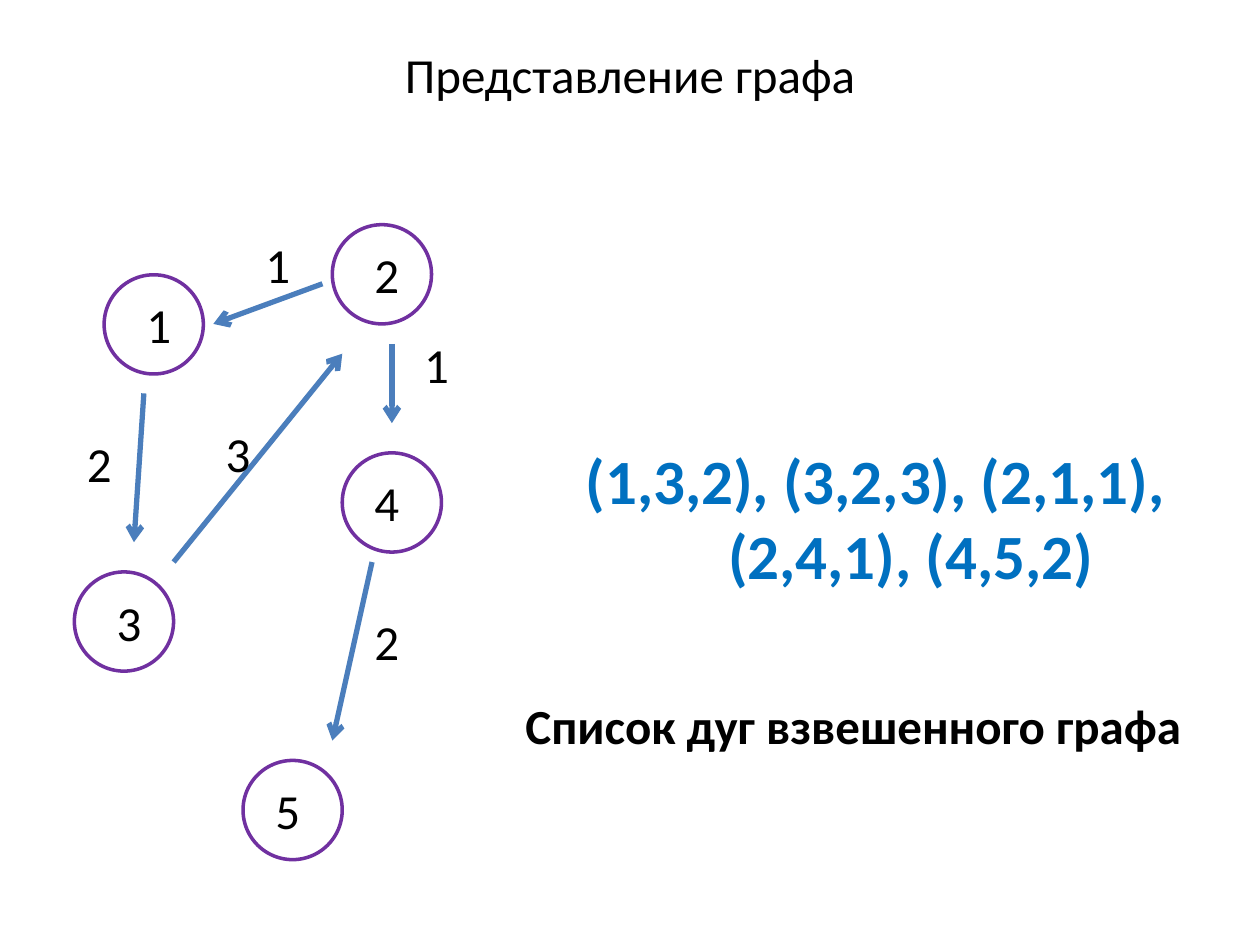
from dataclasses import dataclass

import pptx
import pptx.dml.color
import pptx.enum.shapes
import pptx.enum.text
import pptx.oxml.ns
import pptx.slide
import pptx.text.text
import pptx.util
from lxml import etree
from pptx.util import Cm

BLACK, WHITE, PURPLE, STEEL, BLUE = "000000", "FFFFFF", "7030A0", "4B7EBC", "0070C0"
DIAMETER = 2
LABEL_WIDTH, LABEL_HEIGHT = 1, 1.6
HANGING = 1.43


@dataclass
class Node:
    name: str
    left: float
    top: float
    label_shift: float


@dataclass
class Arc:
    weight: str
    start: tuple[float, float]
    end: tuple[float, float]
    label: tuple[float, float]


@dataclass
class Statement:
    text: str
    box: tuple[float, float, float, float]
    size: int = 28
    color: str = BLACK
    bold: bool = False
    bottom_inset: float = 0.13


NODES = [
    Node("1", 2.1, 5.54, 0.6),
    Node("2", 6.7, 4.53, 0.6),
    Node("3", 1.5, 11.53, 0.6),
    Node("4", 6.9, 9.13, 0.4),
    Node("5", 4.9, 15.33, 0.4),
]

ARCS = [
    Arc("1", (6.5, 5.72), (4.3, 6.53), (5.1, 4.53)),
    Arc("2", (2.9, 7.93), (2.7, 10.93), (1.5, 8.53)),
    Arc("3", (3.5, 11.33), (6.9, 7.13), (4.3, 8.33)),
    Arc("1", (7.9, 6.93), (7.9, 8.53), (8.3, 6.53)),
    Arc("2", (7.5, 11.33), (6.7, 14.93), (7.3, 12.12)),
]

STATEMENTS = [
    Statement("Представление графа", (0, 0, 25.4, 3)),
    Statement("Список дуг взвешенного графа", (10.3, 13.72, 13.8, 3),
              bold=True, bottom_inset=1.32),
    Statement("(1,3,2), (3,2,3), (2,1,1), (2,4,1), (4,5,2)",
              (9.9, 8.92, 15.5, 3), size=36, color=BLUE, bold=True),
]


def rgb(value: str) -> pptx.dml.color.RGBColor:
    return pptx.dml.color.RGBColor.from_string(value)


def add_text(slide: pptx.slide.Slide, statement: Statement) -> pptx.text.text.TextFrame:
    frame = slide.shapes.add_textbox(*map(Cm, statement.box)).text_frame
    frame.word_wrap = True
    frame.vertical_anchor = pptx.enum.text.MSO_ANCHOR.MIDDLE
    frame.margin_bottom = Cm(statement.bottom_inset)
    paragraph = frame.paragraphs[0]
    paragraph.alignment = pptx.enum.text.PP_ALIGN.CENTER
    run = paragraph.add_run()
    run.text = statement.text
    run.font.name = "Calibri"
    run.font.size = pptx.util.Pt(statement.size)
    run.font.bold = statement.bold
    run.font.color.rgb = rgb(statement.color)
    return frame


def add_statement(slide: pptx.slide.Slide, statement: Statement) -> None:
    """Add a text whose wrapped lines hang behind the first one."""
    properties = add_text(slide, statement).paragraphs[0]._p.get_or_add_pPr()
    properties.set("marL", str(Cm(HANGING)))
    properties.set("indent", str(-Cm(HANGING)))


def add_label(slide: pptx.slide.Slide, text: str, left: float, top: float) -> None:
    frame = add_text(slide, Statement(text, (left, top, LABEL_WIDTH, LABEL_HEIGHT)))
    frame.margin_left = frame.margin_right = 0


def add_circle(slide: pptx.slide.Slide, node: Node) -> None:
    circle = slide.shapes.add_shape(
        pptx.enum.shapes.MSO_SHAPE.OVAL,
        Cm(node.left), Cm(node.top), Cm(DIAMETER), Cm(DIAMETER))
    circle.shadow.inherit = False
    circle.fill.solid()
    circle.fill.fore_color.rgb = rgb(WHITE)
    circle.line.color.rgb = rgb(PURPLE)
    circle.line.width = pptx.util.Pt(2)


def add_arrow(slide: pptx.slide.Slide, arc: Arc) -> None:
    arrow = slide.shapes.add_connector(
        pptx.enum.shapes.MSO_CONNECTOR.STRAIGHT, *map(Cm, arc.start + arc.end))
    arrow.line.color.rgb = rgb(STEEL)
    arrow.line.width = pptx.util.Pt(3)
    etree.SubElement(arrow.line._get_or_add_ln(), pptx.oxml.ns.qn("a:tailEnd"), type="arrow")
    etree.SubElement(arrow._element.spPr, pptx.oxml.ns.qn("a:effectLst"))


def main() -> None:
    presentation = pptx.Presentation()
    presentation.slide_width, presentation.slide_height = Cm(25.4), Cm(19.05)
    slide = presentation.slides.add_slide(presentation.slide_layouts[6])
    for statement in STATEMENTS:
        add_statement(slide, statement)
    for node in NODES:
        add_circle(slide, node)
    for arc in ARCS:
        add_arrow(slide, arc)
    for node in NODES:
        label_top = node.top + (DIAMETER - LABEL_HEIGHT) / 2
        add_label(slide, node.name, node.left + node.label_shift, label_top)
    for arc in ARCS:
        add_label(slide, arc.weight, *arc.label)
    presentation.save("out.pptx")


if __name__ == "__main__":
    main()
